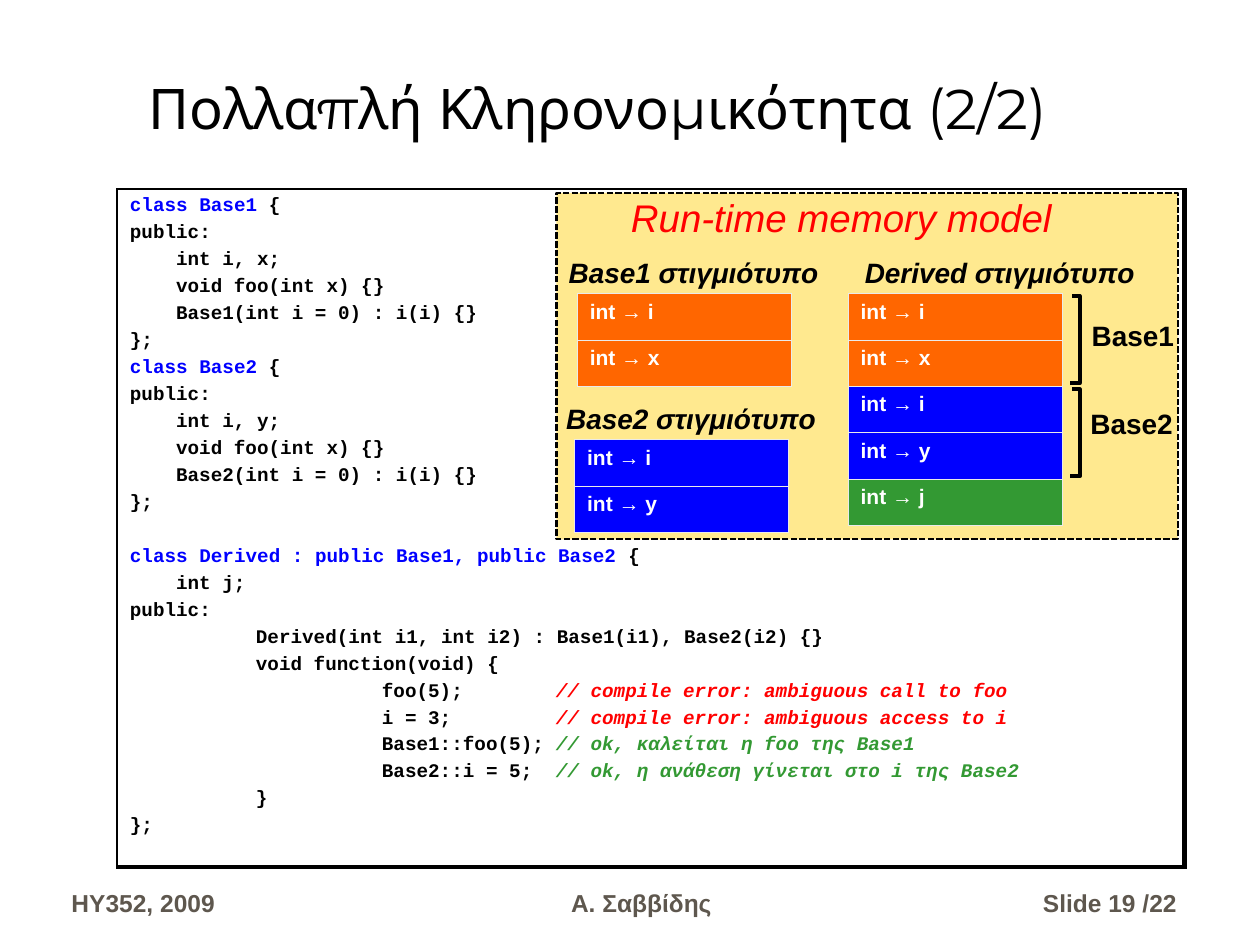
import pptx
import pptx.util
import pptx.dml.color
import pptx.enum.dml
import pptx.enum.shapes
import pptx.enum.text
import lxml.etree

Pt = pptx.util.Pt
RGB = pptx.dml.color.RGBColor.from_string
ANCHOR = pptx.enum.text.MSO_ANCHOR
ALIGN = pptx.enum.text.PP_ALIGN
AUTO = pptx.enum.text.MSO_AUTO_SIZE
NS = "http://schemas.openxmlformats.org/drawingml/2006/main"
C = {"black": "000000", "white": "FFFFFF", "blue": "0000FF", "red": "FF0000",
     "green": "339933", "orange": "FF6600", "sand": "FFE98F", "grey": "5E574E",
     "rule": "EAEAEA"}


def write(p, text, size=16, font="Arial", color="black", bold=False,
          italic=False, before=None, align=None):
    r = p.add_run()
    r.text = text
    r.font.size = Pt(size)
    r.font.name = font
    r.font.color.rgb = RGB(C[color])
    r.font.bold = bold
    r.font.italic = italic
    if before is not None:
        p.space_before = Pt(before)
    if align is not None:
        p.alignment = align


def add_grid(s, x, y, w, row_h, fills, color, borders):
    tbl = s.shapes.add_table(len(fills), 1, Pt(x), Pt(y), Pt(w), Pt(row_h * len(fills))).table
    tbl.first_row = tbl.horz_banding = False
    for row, fill in zip(tbl.rows, fills):
        row.height = Pt(row_h)
        cell = row.cells[0]
        tcPr = cell._tc.get_or_add_tcPr()
        for side, width in zip("LRTB", borders):
            ln = lxml.etree.SubElement(tcPr, f"{{{NS}}}ln{side}", w=str(Pt(width)))
            solid = lxml.etree.SubElement(ln, f"{{{NS}}}solidFill")
            lxml.etree.SubElement(solid, f"{{{NS}}}srgbClr", val=C[color])
        cell.fill.solid()
        cell.fill.fore_color.rgb = RGB(C[fill])
    return tbl


prs = pptx.Presentation()
prs.slide_width, prs.slide_height = Pt(720), Pt(540)
s = prs.slides.add_slide(prs.slide_layouts[6])

INDENT, MEMBER, BODY = (26.4,), (72,), (144, 243.4)
code = [
    ((), [("class Base1", "blue"), (" {", "black")]),
    ((), [("public:", "black")]),
    (INDENT, [("\tint i, x;", "black")]),
    (INDENT, [("\tvoid foo(int x) {}", "black")]),
    (INDENT, [("\tBase1(int i = 0) : i(i) {}", "black")]),
    ((), [("};", "black")]),
    ((), [("class Base2", "blue"), (" {", "black")]),
    ((), [("public:", "black")]),
    (INDENT, [("\tint i, y;", "black")]),
    (INDENT, [("\tvoid foo(int x) {}", "black")]),
    (INDENT, [("\tBase2(int i = 0) : i(i) {}", "black")]),
    ((), [("};", "black")]),
    ((), [("class Derived : public Base1, public Base2", "blue"), (" {", "black")]),
    (INDENT, [("\tint j;", "black")]),
    ((), [("public:", "black")]),
    (MEMBER, [("\tDerived(int i1, int i2) : Base1(i1), Base2(i2) {}", "black")]),
    (MEMBER, [("\tvoid function(void) {", "black")]),
    (BODY, [("\tfoo(5);\t", "black"), ("// compile error: ambiguous call to foo", "red")]),
    (BODY, [("\ti = 3;\t", "black"), ("// compile error: ambiguous access to i", "red")]),
    (BODY, [("\tBase1::foo(5);\t", "black"), ("// ok, καλείται η foo της Base1", "green")]),
    (BODY, [("\tBase2::i = 5;\t", "black"),
            ("// ok, η ανάθεση γίνεται στο i της Base2", "green")]),
    (MEMBER, [("\t}", "black")]),
    ((), [("};", "black")]),
]
tbl = add_grid(s, 67, 108, 610, 387.4, ["white"], "black", (1.08, 3, 1.08, 3))
tf = tbl.cell(0, 0).text_frame
for n, (stops, runs) in enumerate(code):
    p = tf.paragraphs[0] if n == 0 else tf.add_paragraph()
    before = 18.1 if runs[0][0].startswith("class Derived") else 2.8
    for text, color in runs:
        write(p, text, size=11, font="Courier New", color=color, bold=True,
              italic=text.startswith("//"), before=before)
    if stops:
        tabs = lxml.etree.SubElement(p._p.get_or_add_pPr(), f"{{{NS}}}tabLst")
        for stop in stops:
            lxml.etree.SubElement(tabs, f"{{{NS}}}tab", pos=str(Pt(stop)), algn="l")

sp = s.shapes.add_shape(pptx.enum.shapes.MSO_SHAPE.RECTANGLE, Pt(318), Pt(110.2), Pt(355), Pt(198))
sp.shadow.inherit = False
sp.fill.solid()
sp.fill.fore_color.rgb = RGB(C["sand"])
sp.line.color.rgb = RGB(C["black"])
sp.line.width = Pt(1.25)
sp.line.dash_style = pptx.enum.dml.MSO_LINE.SQUARE_DOT

memory = [
    (484.6, 167.8, [("i", "orange"), ("x", "orange"), ("i", "blue"), ("y", "blue"), ("j", "green")]),
    (329.8, 167.8, [("i", "orange"), ("x", "orange")]),
    (328.3, 251.3, [("i", "blue"), ("y", "blue")]),
]
for x, y, fields in memory:
    tbl = add_grid(s, x, y, 122.4, 26.5, [fill for _, fill in fields], "rule", [0.45] * 4)
    for n, (name, _) in enumerate(fields):
        write(tbl.cell(n, 0).text_frame.paragraphs[0], f"int → {name}", size=12,
              color="white", bold=True, before=3)

for y in (169.2, 222.5):
    fb = s.shapes.build_freeform(Pt(612.7), Pt(y), scale=1.0)
    fb.add_line_segments([(Pt(617), Pt(y)), (Pt(617), Pt(y + 49.7)), (Pt(611.3), Pt(y + 49.7))],
                         close=False)
    sp = fb.convert_to_shape()
    sp.shadow.inherit = False
    sp.fill.background()
    sp.line.color.rgb = RGB(C["black"])
    sp.line.width = Pt(2.25)

title = dict(size=32, font="Montserrat")
heading = dict(bold=True, italic=True, align=ALIGN.CENTER)
label = dict(bold=True, align=ALIGN.CENTER)
footer = dict(size=14, color="grey", bold=True, before=8.8)
boxes = [
    ("Πολλαπλή Κληρονομικότητα (2/2)", 77.8, 12.2, 642, 72, True, title),
    ("Run-time memory model", 353.5, 107.3, 255, 34, False, dict(size=22, color="red", italic=True)),
    ("Base1 στιγμιότυπο", 317.5, 142.6, 157.7, 26.6, False, heading),
    ("Derived στιγμιότυπο", 486.7, 142.6, 169.2, 26.6, False, heading),
    ("Base2 στιγμιότυπο", 316.1, 226.1, 157.7, 26.6, False, heading),
    ("Base1", 616.3, 178.6, 62, 26.6, False, label),
    ("Base2", 615.6, 229, 62, 26.6, False, label),
    ("HY352, 2009", 33.8, 491.8, 117.4, 36, True, footer),
    ("Α. Σαββίδης", 157, 491.8, 419, 36, True, dict(footer, align=ALIGN.CENTER)),
    ("Slide 19 /22", 581, 491.8, 98.6, 36, True, dict(footer, align=ALIGN.RIGHT)),
]
for text, x, y, w, h, fixed, fmt in boxes:
    tf = s.shapes.add_textbox(Pt(x), Pt(y), Pt(w), Pt(h)).text_frame
    tf.word_wrap = fixed
    tf.auto_size = AUTO.NONE if fixed else AUTO.SHAPE_TO_FIT_TEXT
    tf.vertical_anchor = ANCHOR.BOTTOM if fixed else ANCHOR.TOP
    write(tf.paragraphs[0], text, **fmt)

prs.save("out.pptx")
